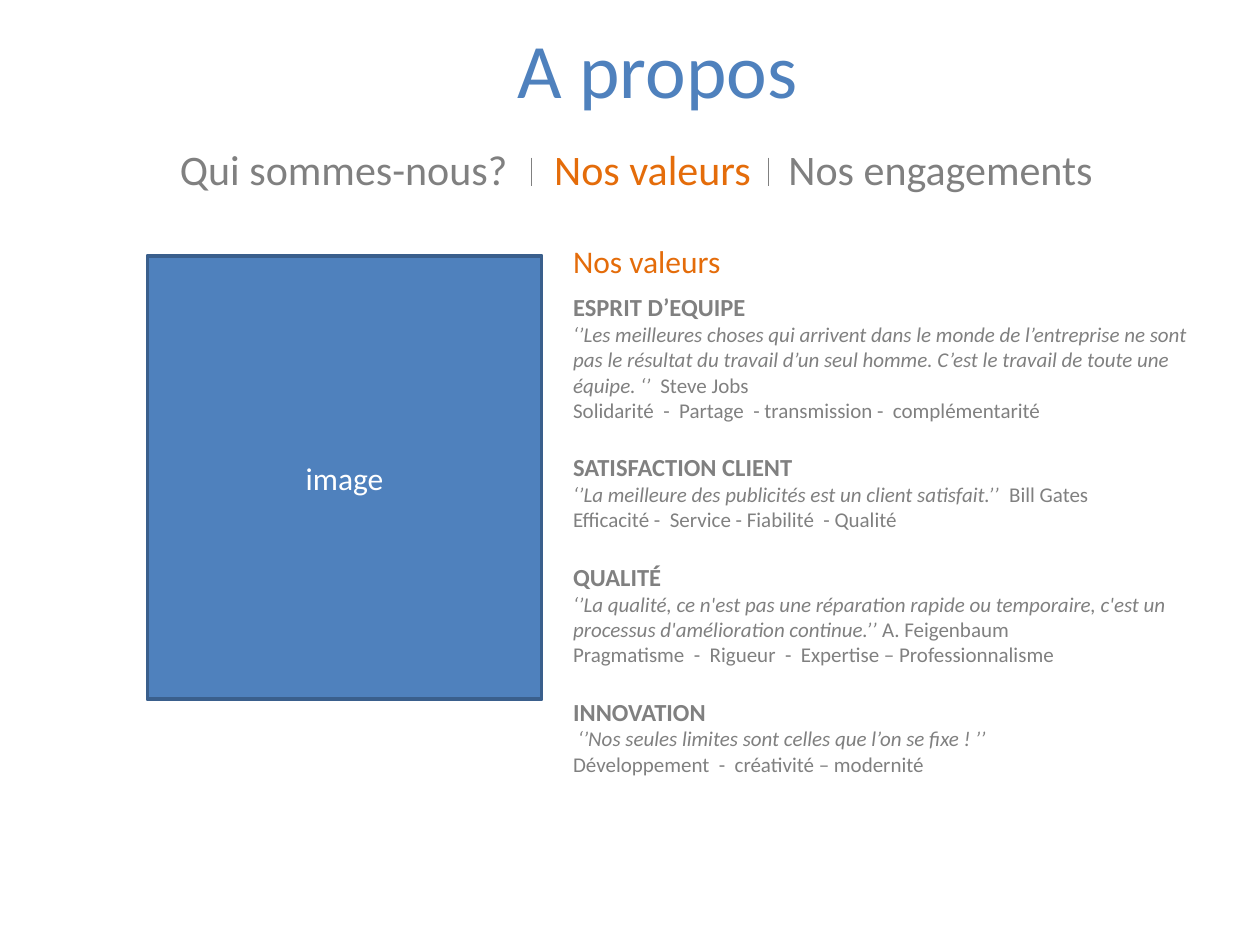
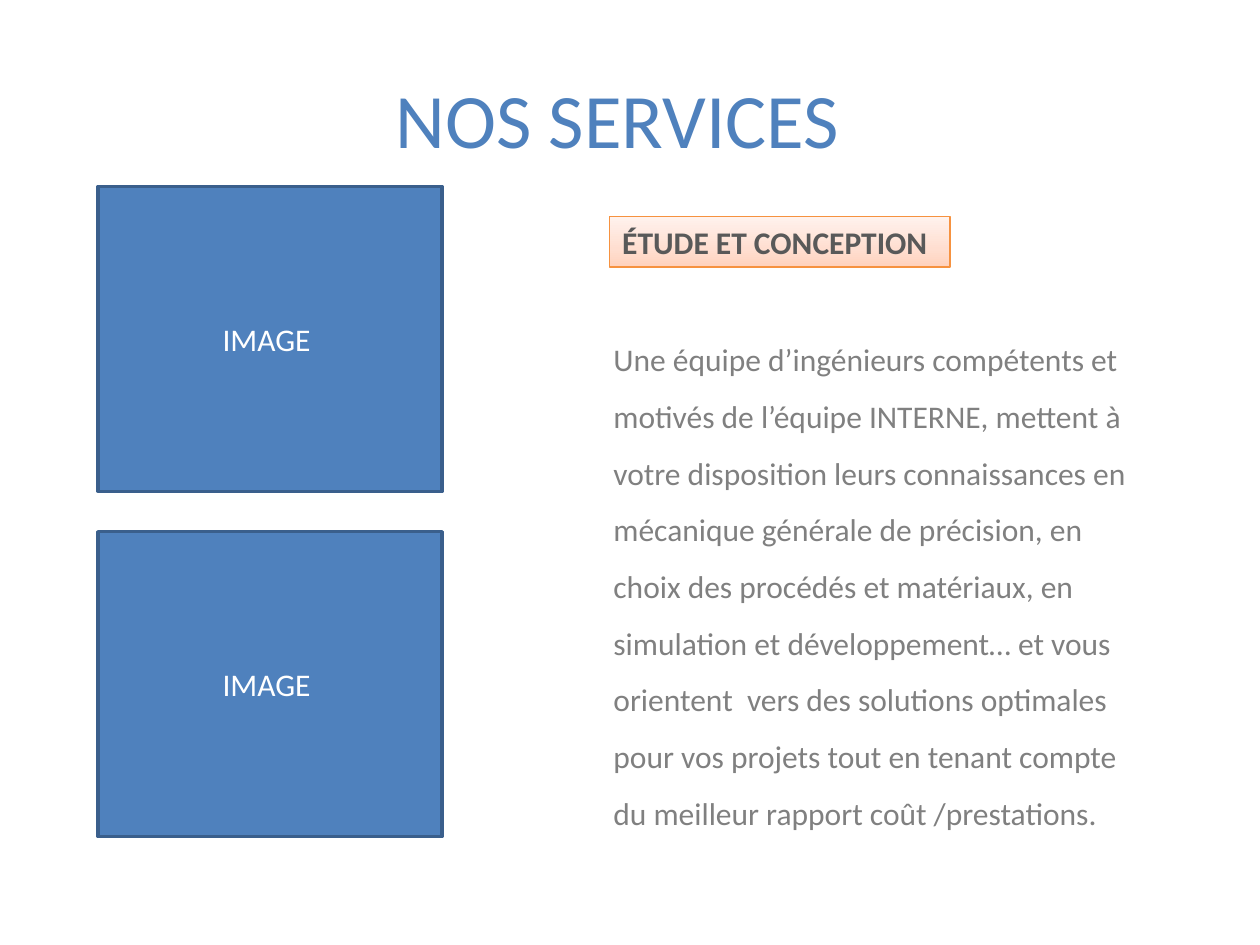
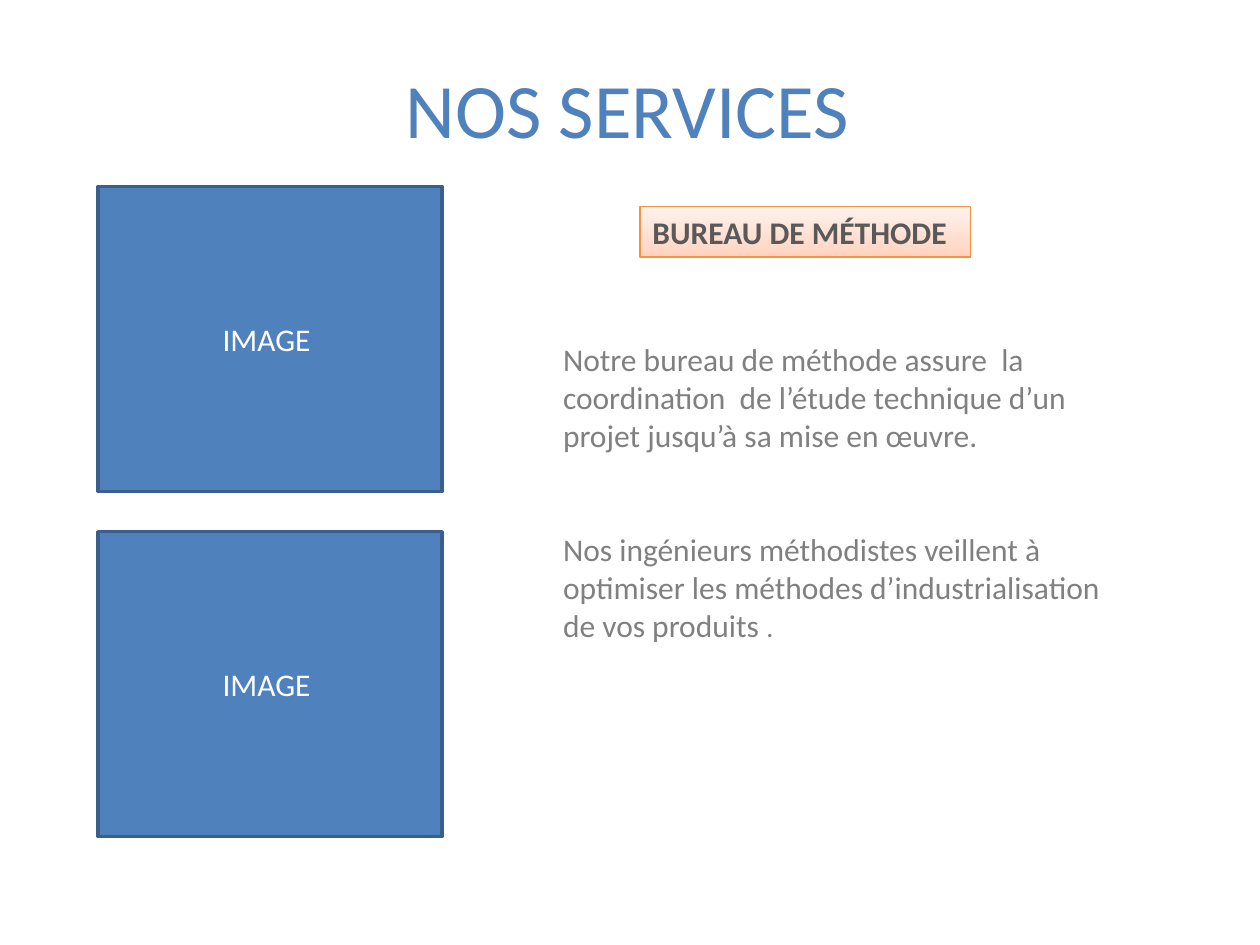
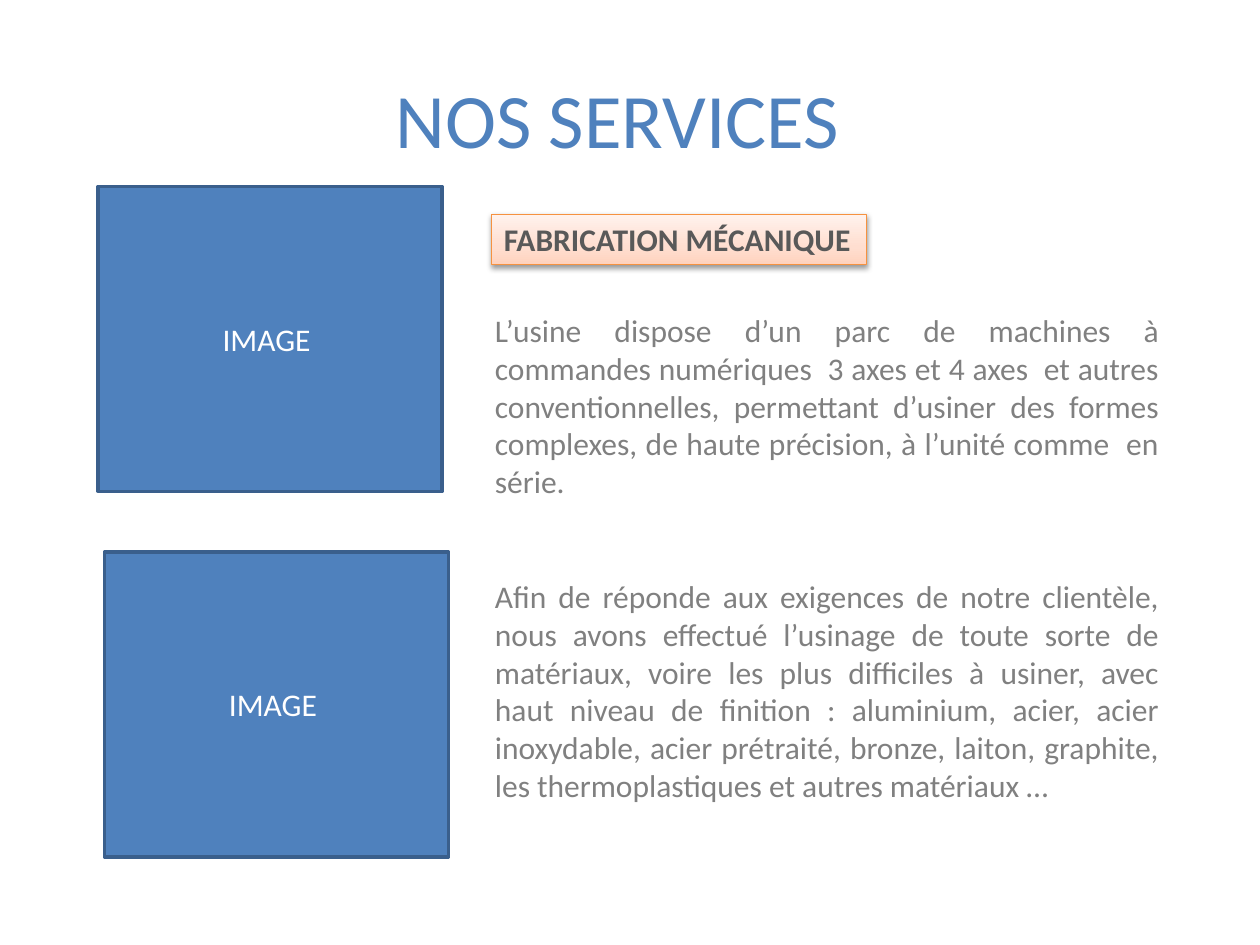
from copy import deepcopy

from lxml import etree
from pptx import Presentation
from pptx.dml.color import RGBColor
from pptx.enum.shapes import MSO_CONNECTOR, MSO_SHAPE
from pptx.enum.text import MSO_ANCHOR, PP_ALIGN
from pptx.oxml.ns import qn
from pptx.util import Inches, Pt

LEFT, CENTER, JUSTIFY = PP_ALIGN.LEFT, PP_ALIGN.CENTER, PP_ALIGN.JUSTIFY
TOP, MIDDLE = MSO_ANCHOR.TOP, MSO_ANCHOR.MIDDLE
RECTANGLE, STRAIGHT = MSO_SHAPE.RECTANGLE, MSO_CONNECTOR.STRAIGHT

FONT = "Calibri"
COLORS = {
    "blue": "4F81BD", "navy": "3A5F8C", "orange": "E46C0A", "gray": "808080",
    "dark": "595959", "white": "FFFFFF", "tag_line": "F69240", "shadow": "000000",
}
TAG_GRADIENT = [(0, "FFD2BD"), (0.35, "FFDED0"), (1, "FFF2ED")]

deck = Presentation()
deck.slide_width, deck.slide_height = Inches(10), Inches(7.5)
COLUMN, ROW = deck.slide_width / 100, deck.slide_height / 75
BLANK = deck.slide_layouts[6]


def add_text(page, area, paragraphs, size, ink, align=LEFT, anchor=TOP, shaped=False):
    """Put text on a grid area; a paragraph is a string or a list of (text, format) spans."""
    left, top, width, height = area
    place = [int(left * COLUMN), int(top * ROW), int(width * COLUMN), int(height * ROW)]
    if shaped:
        box = page.shapes.add_shape(RECTANGLE, *place)
        box.shadow.inherit = False
    else:
        box = page.shapes.add_textbox(*place)
    frame = box.text_frame
    frame.word_wrap = True
    frame.vertical_anchor = anchor
    for index, spans in enumerate(paragraphs):
        para = frame.add_paragraph() if index else frame.paragraphs[0]
        para.alignment = align
        for text, style in [(spans, {})] if isinstance(spans, str) else spans:
            span = para.add_run()
            span.text = text
            span.font.name = FONT
            span.font.size = Pt(style.get("size", size))
            span.font.bold = style.get("bold", False)
            span.font.italic = style.get("italic", False)
            span.font.color.rgb = RGBColor.from_string(COLORS[style.get("ink", ink)])
    return box


def add_image_panel(page, area, label):
    panel = add_text(page, area, [label], 18, "white", CENTER, MIDDLE, shaped=True)
    panel.fill.solid()
    panel.fill.fore_color.rgb = RGBColor.from_string(COLORS["blue"])
    panel.line.color.rgb = RGBColor.from_string(COLORS["navy"])
    panel.line.width = Pt(2)


# Slide 1: values
page = deck.slides.add_slide(BLANK)
add_text(page, (9.4, 3, 85.6, 4.8), ["A propos"], 44, "blue", CENTER, MIDDLE)

menu = [[("Qui sommes-nous?\t", {}), ("Nos valeurs\t", {"ink": "orange"}),
         ("Nos engagements", {})]]
menu_box = add_text(page, (13.3, 10.9, 76.6, 5), menu, 24, "gray")
tab_list = etree.SubElement(
    menu_box.text_frame.paragraphs[0]._p.get_or_add_pPr(), qn("a:tabLst"))
for stop in (29.7, 48.3):
    etree.SubElement(tab_list, qn("a:tab"), pos=str(int(stop * COLUMN)), algn="l")

for column in (42.2, 61):
    divider = page.shapes.add_connector(
        STRAIGHT, int(column * COLUMN), int(12.5 * ROW),
        int(column * COLUMN), int(14.8 * ROW))
    divider.line.color.rgb = RGBColor.from_string(COLORS["gray"])
    divider.line.width = Pt(0.75)
    etree.SubElement(divider._element.spPr, qn("a:effectLst"))

add_image_panel(page, (11.7, 20.3, 31.3, 35.2), "image")
add_text(page, (44.5, 18.7, 16, 4), ["Nos valeurs"], 18, "orange")

values = [
    ("ESPRIT D’EQUIPE",
     "‘’Les meilleures choses qui arrivent dans le monde de l’entreprise ne sont pas "
     "le résultat du travail d’un seul homme. C’est le travail de toute une équipe. ‘’ ",
     " Steve Jobs",
     "Solidarité  -  Partage  - transmission -  complémentarité"),
    ("SATISFACTION CLIENT",
     "‘’La meilleure des publicités est un client satisfait.’’ ", " Bill Gates",
     "Efficacité -  Service - Fiabilité  - Qualité"),
    ("QUALITÉ",
     "‘’La qualité, ce n'est pas une réparation rapide ou temporaire, c'est un "
     "processus d'amélioration continue.’’ ", "A. Feigenbaum",
     "Pragmatisme  -  Rigueur  -  Expertise – Professionnalisme"),
    ("INNOVATION",
     " ‘’Nos seules limites sont celles que l’on se fixe ! ’’", "",
     "Développement  -  créativité – modernité"),
]
lines = []
for heading, quote, author, keywords in values:
    quoted = [(quote, {"italic": True})]
    if author:
        quoted.append((author, {}))
    lines += [[(heading, {"size": 14, "bold": True})], quoted, keywords]
values_box = add_text(page, (44.5, 22.7, 53.1, 42.1), lines, 12, "gray")
for para in values_box.text_frame.paragraphs[3::3]:
    para.space_before = Pt(17)

# Slides 2 to 4: services
services = [
    {"title": (4.7, 3.1), "tag": "ÉTUDE ET CONCEPTION", "tag_area": (48.4, 17.2, 27, 4),
     "body_area": (47.7, 25, 44.1, 44.9), "spacing": 1.5, "align": LEFT,
     "panels": [(7.8, 14.8), (7.8, 42.2)], "shadow": False,
     "body": [
         "Une équipe d’ingénieurs compétents et motivés de l’équipe INTERNE, mettent à votre "
         "disposition leurs connaissances en mécanique générale de précision, en choix des "
         "procédés et matériaux, en simulation et développement… et vous orientent  vers "
         "des solutions optimales pour vos projets tout en tenant compte du meilleur "
         "rapport coût /prestations."]},
    {"title": (5.5, 2.3), "tag": "BUREAU DE MÉTHODE", "tag_area": (50.8, 16.4, 26.2, 4),
     "body_area": (43.7, 26.5, 44.9, 27.9), "spacing": 1, "align": LEFT,
     "panels": [(7.8, 14.8), (7.8, 42.2)], "shadow": False,
     "body": [
         "Notre bureau de méthode assure  la coordination  de l’étude technique d’un projet "
         "jusqu’à sa mise en œuvre.",
         [("Nos ingénieurs méthodistes veillent à optimiser les méthodes "
           "d’industrialisation de vos produits ", {}), (".", {"size": 16})]]},
    {"title": (4.7, 3.1), "tag": "FABRICATION MÉCANIQUE", "tag_area": (39, 17, 29.8, 4),
     "body_area": (38.3, 24.2, 54.7, 49), "spacing": 1, "align": JUSTIFY,
     "panels": [(7.8, 14.8), (8.3, 43.8)], "shadow": True,
     "body": [
         "L’usine dispose d’un parc de machines à commandes numériques  3 axes et 4 axes  et "
         "autres conventionnelles, permettant d’usiner des formes complexes, de haute "
         "précision, à l’unité comme  en série.",
         "Afin de réponde aux exigences de notre clientèle, nous avons effectué l’usinage "
         "de toute sorte de matériaux, voire les plus difficiles à usiner, avec haut niveau "
         "de finition : aluminium, acier, acier inoxydable, acier prétraité, bronze, "
         "laiton, graphite, les thermoplastiques et autres matériaux …"]},
]
for service in services:
    page = deck.slides.add_slide(BLANK)
    add_text(page, (*service["title"], 90, 12.5), ["NOS SERVICES "], 44, "blue",
             CENTER, MIDDLE)

    tag = add_text(page, service["tag_area"], [[(service["tag"], {"bold": True})]],
                   18, "dark", shaped=True)
    tag.fill.gradient()
    tag.fill.gradient_angle = 90
    stop_list = tag._element.spPr.find(".//" + qn("a:gsLst"))
    stop_list.append(deepcopy(stop_list[-1]))
    for stop, (position, color) in zip(tag.fill.gradient_stops, TAG_GRADIENT):
        stop.position = position
        stop.color.rgb = RGBColor.from_string(color)
    tag.line.color.rgb = RGBColor.from_string(COLORS["tag_line"])
    tag.line.width = Pt(0.75)
    if service["shadow"]:
        effects = tag._element.spPr.find(qn("a:effectLst"))
        shadow = etree.SubElement(effects, qn("a:outerShdw"), blurRad=str(Pt(3.1)),
                                  dist=str(Pt(1.6)), dir="5400000", rotWithShape="0")
        tint = etree.SubElement(shadow, qn("a:srgbClr"), val=COLORS["shadow"])
        etree.SubElement(tint, qn("a:alpha"), val="38000")

    body = add_text(page, service["body_area"], service["body"], 18, "gray",
                    service["align"])
    for index, para in enumerate(body.text_frame.paragraphs):
        para.line_spacing = service["spacing"]
        if index:
            para.space_before = Pt(44)

    for left, top in service["panels"]:
        add_image_panel(page, (left, top, 27.3, 24.2), "IMAGE ")

deck.save("out.pptx")
